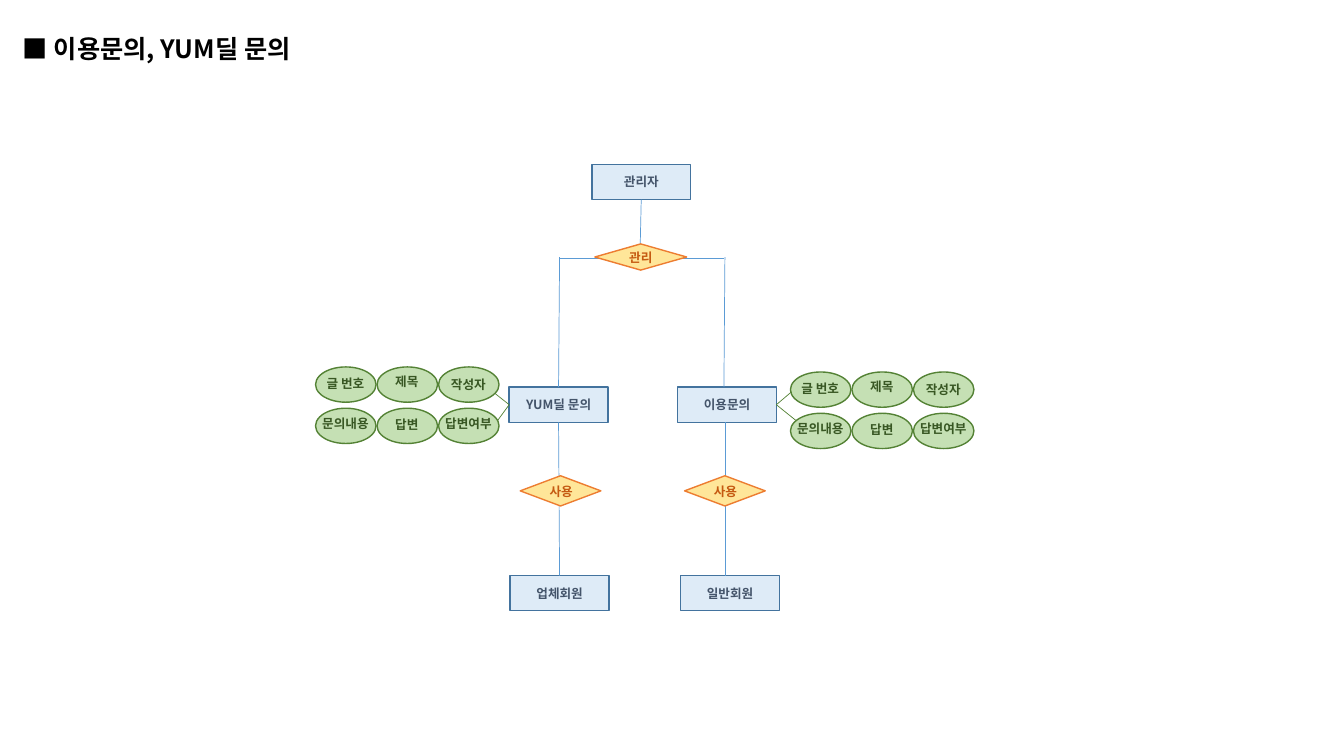
from lxml.etree import SubElement
from pptx import Presentation
from pptx.dml.color import RGBColor as RGB
from pptx.enum.shapes import MSO_CONNECTOR as LINK, MSO_SHAPE as SHAPE
from pptx.enum.text import MSO_ANCHOR as ANCHOR, MSO_AUTO_SIZE as AUTO, PP_ALIGN as ALIGN
from pptx.oxml.ns import qn
from pptx.util import Pt

PX = 9144  # 100 px to the inch
FONT = "Noto Sans CJK KR"
BLACK = RGB(0x00, 0x00, 0x00)
SLATE = RGB(0x44, 0x54, 0x6A)
PALE = RGB(0xDE, 0xEB, 0xF7)
NAVY = RGB(0x43, 0x73, 0x9E)
BLUE = RGB(0x5B, 0x9B, 0xD5)
MINT = RGB(0xC5, 0xE0, 0xB4)
GREEN = RGB(0x54, 0x82, 0x35)
FOREST = RGB(0x38, 0x57, 0x23)
CREAM = RGB(0xFF, 0xE6, 0x99)
ORANGE = RGB(0xED, 0x7D, 0x31)
RUST = RGB(0xC5, 0x5A, 0x11)


class Board:
    def __init__(self, deck):
        self.slide = deck.slides.add_slide(deck.slide_layouts[6])
        self.shapes = self.slide.shapes

    def letter(self, frame, text, color, size=9, align=ALIGN.CENTER):
        frame.text = text
        para = frame.paragraphs[0]
        para.alignment = align
        for run in para.runs:
            font = run.font
            font.name, font.size, font.bold = FONT, Pt(size), True
            font.color.rgb = color
            SubElement(font._element, qn("a:ea"), typeface=FONT)

    def form(self, kind, x, y, w, h, fill, edge):
        shape = self.shapes.add_shape(kind, x * PX, y * PX, w * PX, h * PX)
        shape.shadow.inherit = False
        shape.fill.solid()
        shape.fill.fore_color.rgb = fill
        shape.line.color.rgb = edge
        shape.line.width = Pt(1)
        return shape

    def label(self, x, y, w, h, text, color, wrap=True, **style):
        frame = self.shapes.add_textbox(x * PX, y * PX, w * PX, h * PX).text_frame
        frame.word_wrap = wrap
        frame.auto_size = AUTO.SHAPE_TO_FIT_TEXT
        self.letter(frame, text, color, **style)

    def entity(self, x, y, text):
        box = self.form(SHAPE.RECTANGLE, x, y, 98, 35, PALE, NAVY)
        box.text_frame.word_wrap = True
        box.text_frame.vertical_anchor = ANCHOR.MIDDLE
        self.letter(box.text_frame, text, SLATE)
        return box

    def action(self, x, y, w, h, text):
        self.form(SHAPE.DIAMOND, x, y, w, h, CREAM, ORANGE)
        self.label(x + w // 2 - 22, y + h // 2 - 12, 45, 25, text, RUST, wrap=False)

    def field(self, x, y, drop, text):
        self.form(SHAPE.OVAL, x, y, 60, 35, MINT, GREEN)
        self.label(x - 11, y + drop, 81, 25, text, FOREST)

    def link(self, start, end, color=BLUE, head=None, tail=None):
        """head and tail are (box, side) pairs to join."""
        line = self.shapes.add_connector(LINK.STRAIGHT, *(v * PX for v in start + end))
        line.line.color.rgb = color
        line.line.width = Pt(0.5)
        SubElement(line._element.spPr, qn("a:effectLst"))
        if head:
            line.begin_connect(*head)
        if tail:
            line.end_connect(*tail)


def main():
    deck = Presentation()
    deck.slide_width, deck.slide_height = 1333 * PX, 750 * PX
    board = Board(deck)

    # Title
    board.label(13, 28, 606, 40, "■ 이용문의, YUM딜 문의", BLACK, size=18, align=ALIGN.LEFT)

    # Entities
    admin = board.entity(587, 163, "관리자")
    deal = board.entity(505, 384, "YUM딜 문의")
    usage = board.entity(672, 384, "이용문의")
    vendor = board.entity(506, 571, "업체회원")
    board.entity(675, 571, "일반회원")

    # Links between entities
    board.link((636, 198), (635, 242), head=(admin, 2))
    board.link((555, 256), (718, 256))
    board.link((555, 255), (554, 384), tail=(deal, 0))
    board.link((719, 255), (718, 384))
    board.link((554, 419), (555, 571), head=(deal, 2), tail=(vendor, 0))
    board.link((719, 419), (719, 571))

    # Links to fields
    for box, side, start, ends in (
        (deal, 1, (505, 402), ((483, 384), (490, 422))),
        (usage, 3, (770, 402), ((793, 382), (793, 420))),
    ):
        for end in ends:
            board.link(start, end, GREEN, head=(box, side))

    # Actions
    board.action(590, 242, 91, 26, "관리")
    for x in (516, 679):
        board.action(x, 472, 80, 30, "사용")

    # Fields: two rows of three beside each inquiry, with label drops
    fields = (("글 번호", 4), ("제목", 2), ("작성자", 5),
              ("문의내용", 3), ("답변", 4), ("답변여부", 3))
    for left, top in ((313, 364), (784, 369)):
        for i, (name, drop) in enumerate(fields):
            row, col = divmod(i, 3)
            board.field(left + 61 * col, top + 41 * row, drop, name)

    deck.save("out.pptx")


if __name__ == "__main__":
    main()
